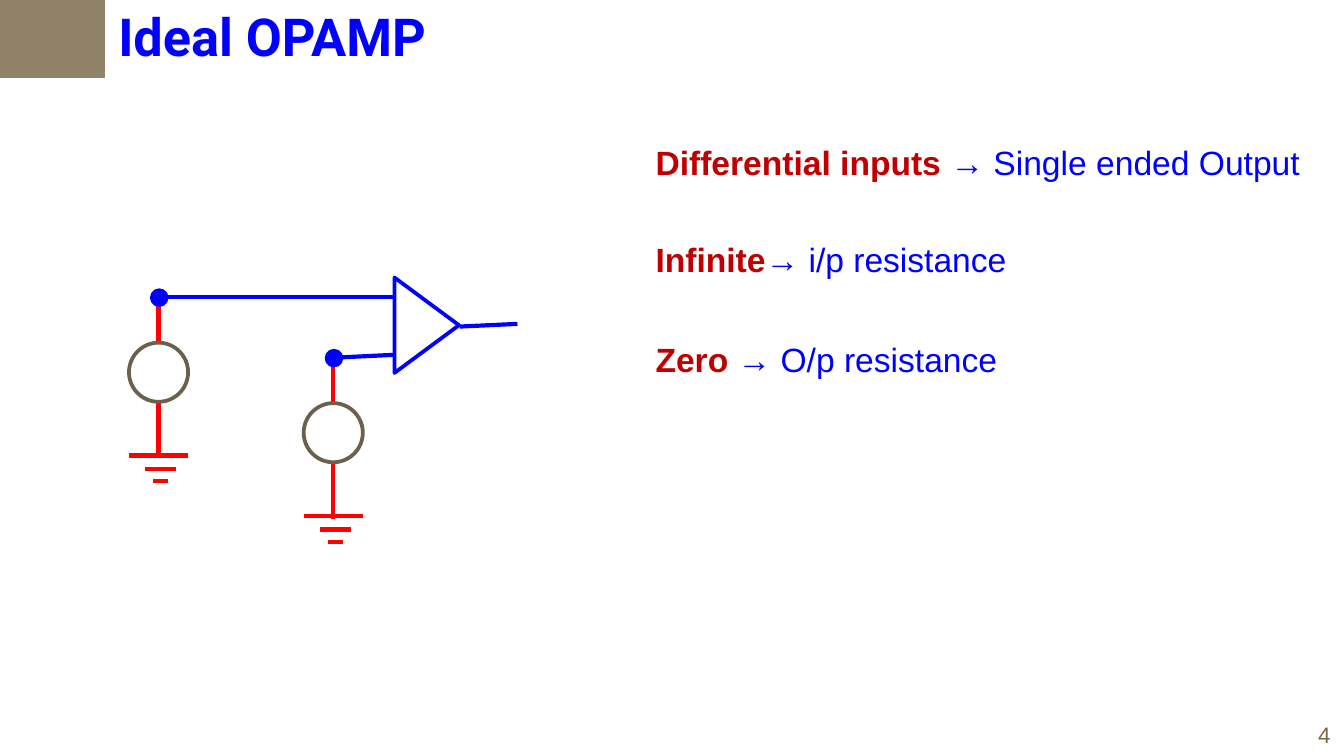
from lxml import etree
from pptx import Presentation
from pptx import util as u
from pptx.dml.color import RGBColor
from pptx.enum import shapes, text
from pptx.oxml.ns import qn

BLUE, RED, DARK = "0000FF", "FF0000", "C00000"
TAN, BROWN, GREY = "908269", "6B604E", "786745"


def color(code):
    return RGBColor.from_string(code)


def write(box, *runs, font="Arial", size=18, wrap=False):
    """Fill a box with one line of (words, colour, bold) runs."""
    frame = box.text_frame
    frame.word_wrap = wrap
    frame.auto_size = text.MSO_AUTO_SIZE.NONE
    frame.vertical_anchor = text.MSO_ANCHOR.TOP
    line = frame.paragraphs[0]
    line.alignment = text.PP_ALIGN.LEFT
    for words, tint, bold in runs:
        run = line.add_run()
        run.text = words
        run.font.name = font
        run.font.size = u.Pt(size)
        run.font.bold = bold
        run.font.color.rgb = color(tint)


class Sketch:
    wire = 2.25
    edge = 2

    def __init__(self, deck):
        self.slide = deck.slides.add_slide(deck.slide_layouts[5])
        self.items = self.slide.shapes

    def title(self, words, *place):
        box = self.items.title
        box.left, box.top, box.width, box.height = map(u.Inches, place)
        write(box, (words, BLUE, True), font="Roboto", size=28)

    def label(self, place, *runs, **style):
        write(self.items.add_textbox(*map(u.Inches, place)), *runs, **style)

    def shape(self, kind, *place, fill=None, line=None, turn=0):
        item = self.items.add_shape(kind, *map(u.Inches, place))
        item.shadow.inherit = False
        item.rotation = turn
        if fill:
            item.fill.solid()
            item.fill.fore_color.rgb = color(fill)
        else:
            item.fill.background()
        if line:
            item.line.color.rgb = color(line)
            item.line.width = u.Pt(self.edge)
        else:
            item.line.fill.background()

    def line(self, *ends, tint=BLUE):
        item = self.items.add_connector(
            shapes.MSO_CONNECTOR.STRAIGHT, *map(u.Inches, ends))
        item.line.color.rgb = color(tint)
        item.line.width = u.Pt(self.wire)
        etree.SubElement(item._element.spPr, qn("a:effectLst"))

    def source(self, x, y):
        """Grounded source whose input node is at x, y."""
        oval = shapes.MSO_SHAPE.OVAL
        self.line(x, y, x, y + 0.34, tint=RED)
        self.shape(oval, x - 0.05, y - 0.05, 0.11, 0.11, fill=BLUE, line=BLUE)
        for left, right, drop in ((0.22, 0.22, 1.18), (0.1, 0.13, 1.28),
                                  (0.04, 0.07, 1.37)):
            self.line(x - left, y + drop, x + right, y + drop, tint=RED)
        self.line(x, y + 0.78, x, y + 1.2, tint=RED)
        self.shape(oval, x - 0.22, y + 0.34, 0.44, 0.44, line=BROWN)


def main():
    deck = Presentation()
    deck.slide_width = u.Inches(10)
    deck.slide_height = deck.slide_width * 9 // 16
    page = Sketch(deck)

    # Page number, title and corner block
    page.label((9.71, 5.32, 0.29, 0.3), ("4", GREY, False), size=12)
    page.title("Ideal OPAMP", 0.78, -0.02, 2.69, 0.57)
    page.shape(shapes.MSO_SHAPE.RECTANGLE, 0.09, -0.11, 0.6, 0.78,
               fill=TAN, turn=270)

    # Amplifier with its wires
    page.line(2.52, 2.66, 2.94, 2.64)
    page.shape(shapes.MSO_SHAPE.ISOSCELES_TRIANGLE, 2.82, 2.18, 0.71, 0.48,
               line=BLUE, turn=90)
    page.line(3.42, 2.43, 3.85, 2.41)
    page.line(1.2, 2.21, 2.95, 2.21)

    # Input sources
    for x, y in ((1.18, 2.21), (2.48, 2.66)):
        page.source(x, y)

    # Properties
    facts = (("Differential inputs ", "→ Single ended Output", 1.01, 5.04),
             ("Infinite", "→ i/p resistance", 1.73, 2.83),
             ("Zero ", "→ O/p resistance", 2.47, 2.76))
    for head, tail, top, width in facts:
        page.label((4.78, top, width, 0.4),
                   (head, DARK, True), (tail, BLUE, False))

    deck.save("out.pptx")


if __name__ == "__main__":
    main()
